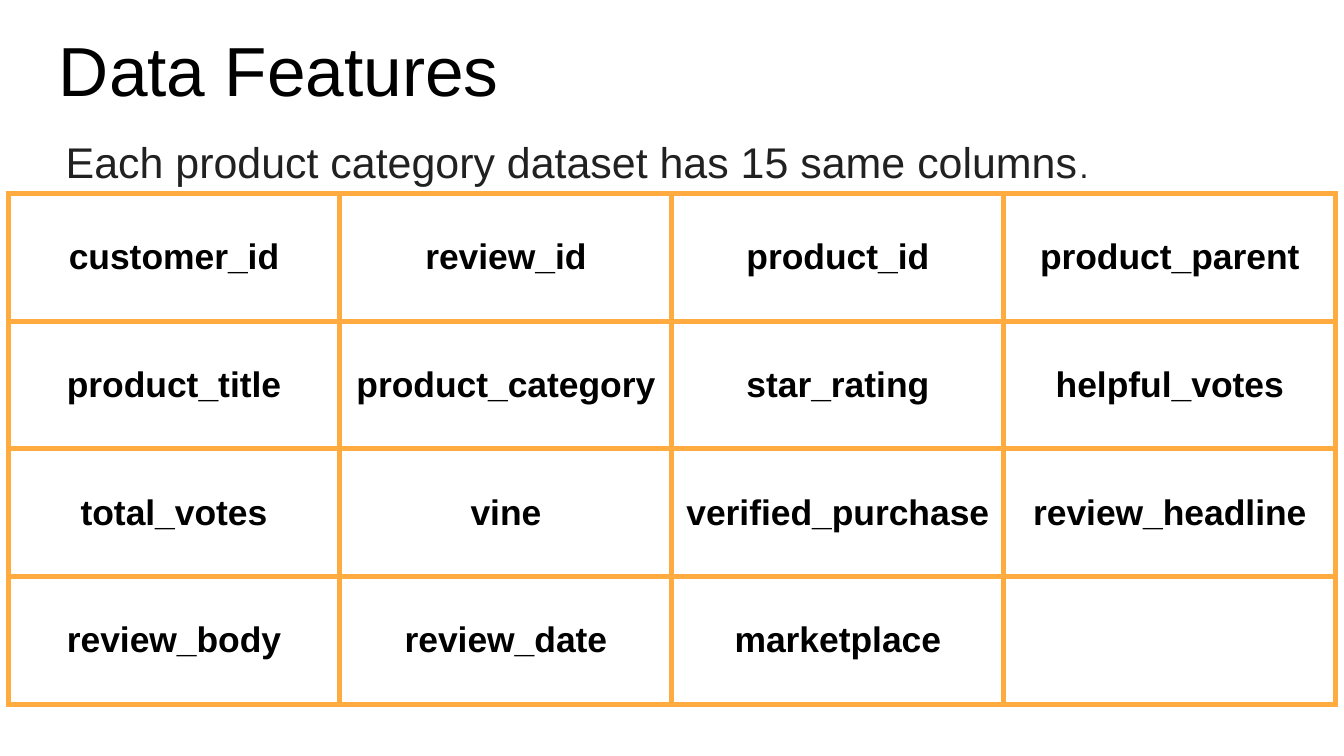
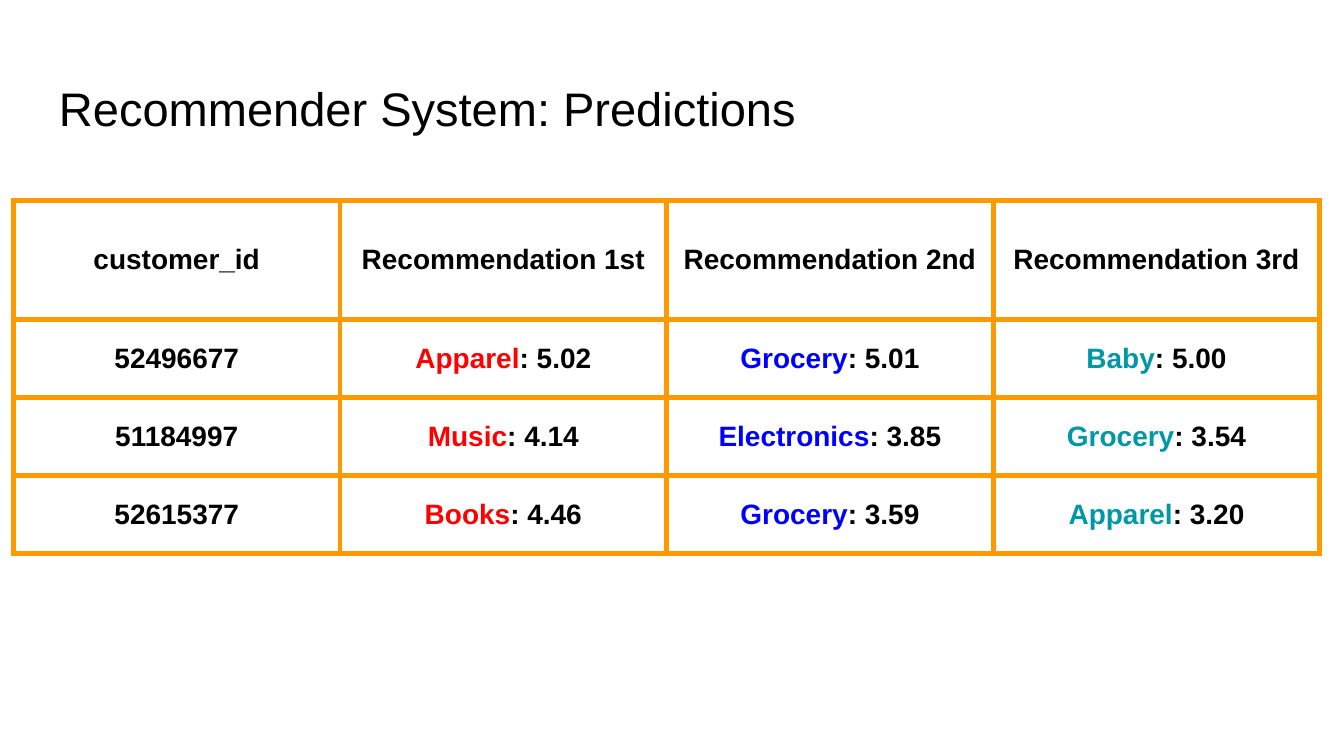
import pptx
import pptx.util
import pptx.dml.color
import pptx.enum.text
import pptx.oxml
import pptx.oxml.ns

Inches = pptx.util.Inches
Pt = pptx.util.Pt

FONT = "Arial"
COLORS = {
    "text": "000000",
    "body": "212121",
    "feature_grid": "FFAB40",
    "prediction_grid": "FF9900",
    "first": "FF0000",
    "second": "0000FF",
    "third": "0097A7",
}
RANKS = ["first", "second", "third"]
BORDER_PT = 3
INSET = 0.1

FEATURES = [
    ["customer_id", "review_id", "product_id", "product_parent"],
    ["product_title", "product_category", "star_rating", "helpful_votes"],
    ["total_votes", "vine", "verified_purchase", "review_headline"],
    ["review_body", "review_date", "marketplace", ""],
]
PREDICTION_HEADER = ["customer_id", "Recommendation 1st", "Recommendation 2nd", "Recommendation 3rd"]
PREDICTIONS = [
    ("52496677", [("Apparel", "5.02"), ("Grocery", "5.01"), ("Baby", "5.00")]),
    ("51184997", [("Music", "4.14"), ("Electronics", "3.85"), ("Grocery", "3.54")]),
    ("52615377", [("Books", "4.46"), ("Grocery", "3.59"), ("Apparel", "3.20")]),
]


def add_run(p, text, size, color="text", bold=False):
    r = p.add_run()
    r.text = text
    r.font.name = FONT
    r.font.size = Pt(size)
    r.font.bold = bold
    r.font.color.rgb = pptx.dml.color.RGBColor.from_string(COLORS[color])


def set_insets(holder):
    holder.margin_left = holder.margin_right = Inches(INSET)
    holder.margin_top = holder.margin_bottom = Inches(INSET)


def add_text_box(s, left, top, height):
    tf = s.shapes.add_textbox(Inches(left), Inches(top), Inches(9.32), Inches(height)).text_frame
    tf.word_wrap = True
    set_insets(tf)
    return tf.paragraphs[0]


def add_title(s, text, top, size):
    add_run(add_text_box(s, 0.34, top, 0.63), text, size)


def set_borders(cell, color):
    tc_pr = cell._tc.get_or_add_tcPr()
    for side in ("lnL", "lnR", "lnT", "lnB"):
        tc_pr.append(pptx.oxml.parse_xml(
            f'<a:{side} {pptx.oxml.ns.nsdecls("a")} w="{Pt(BORDER_PT)}">'
            f'<a:solidFill><a:srgbClr val="{COLORS[color]}"/></a:solidFill></a:{side}>'))


def fill_cell(cell, runs, size, grid_color):
    set_insets(cell)
    cell.vertical_anchor = pptx.enum.text.MSO_ANCHOR.MIDDLE
    set_borders(cell, grid_color)
    cell.fill.background()
    p = cell.text_frame.paragraphs[0]
    p.alignment = pptx.enum.text.PP_ALIGN.CENTER
    for text, color in runs:
        add_run(p, text, size, color, bold=True)


def add_grid(s, rows, left, top, col_width, row_heights, size, grid_color):
    cols = len(rows[0])
    table = s.shapes.add_table(len(rows), cols, Inches(left), Inches(top),
                               Inches(col_width * cols), Inches(sum(row_heights))).table
    table.first_row = False
    table.horz_banding = False
    for col in table.columns:
        col.width = Inches(col_width)
    for i, (row, height) in enumerate(zip(rows, row_heights)):
        table.rows[i].height = Inches(height)
        for j, runs in enumerate(row):
            fill_cell(table.cell(i, j), runs, size, grid_color)


def plain(text):
    return [(text, "text")] if text else []


def prediction_row(customer, picks):
    return [plain(customer)] + [
        [(category, rank), (f": {score}", "text")]
        for (category, score), rank in zip(picks, RANKS)
    ]


def add_features_slide(s):
    add_title(s, "Data Features", 0.1, 37.2)
    p = add_text_box(s, 0.39, 0.85, 0.69)
    p.line_spacing = 1.15
    p.space_after = Pt(12)
    add_run(p, "Each product category dataset has 15 same columns", 23, "body")
    add_run(p, ".", 18, "body")
    rows = [[plain(name) for name in names] for names in FEATURES]
    add_grid(s, rows, 0.06, 1.44, 2.47, [0.95] * 4, 19, "feature_grid")


def add_predictions_slide(s):
    add_title(s, "Recommender System: Predictions", 0.49, 25.2)
    rows = [[plain(name) for name in PREDICTION_HEADER]]
    rows += [prediction_row(customer, picks) for customer, picks in PREDICTIONS]
    add_grid(s, rows, 0.1, 1.49, 2.43, [0.89] + [0.58] * 3, 15, "prediction_grid")


def main():
    prs = pptx.Presentation()
    prs.slide_width = Inches(10)
    prs.slide_height = prs.slide_width * 9 // 16
    for build in (add_features_slide, add_predictions_slide):
        build(prs.slides.add_slide(prs.slide_layouts[6]))
    prs.save("out.pptx")


if __name__ == "__main__":
    main()
